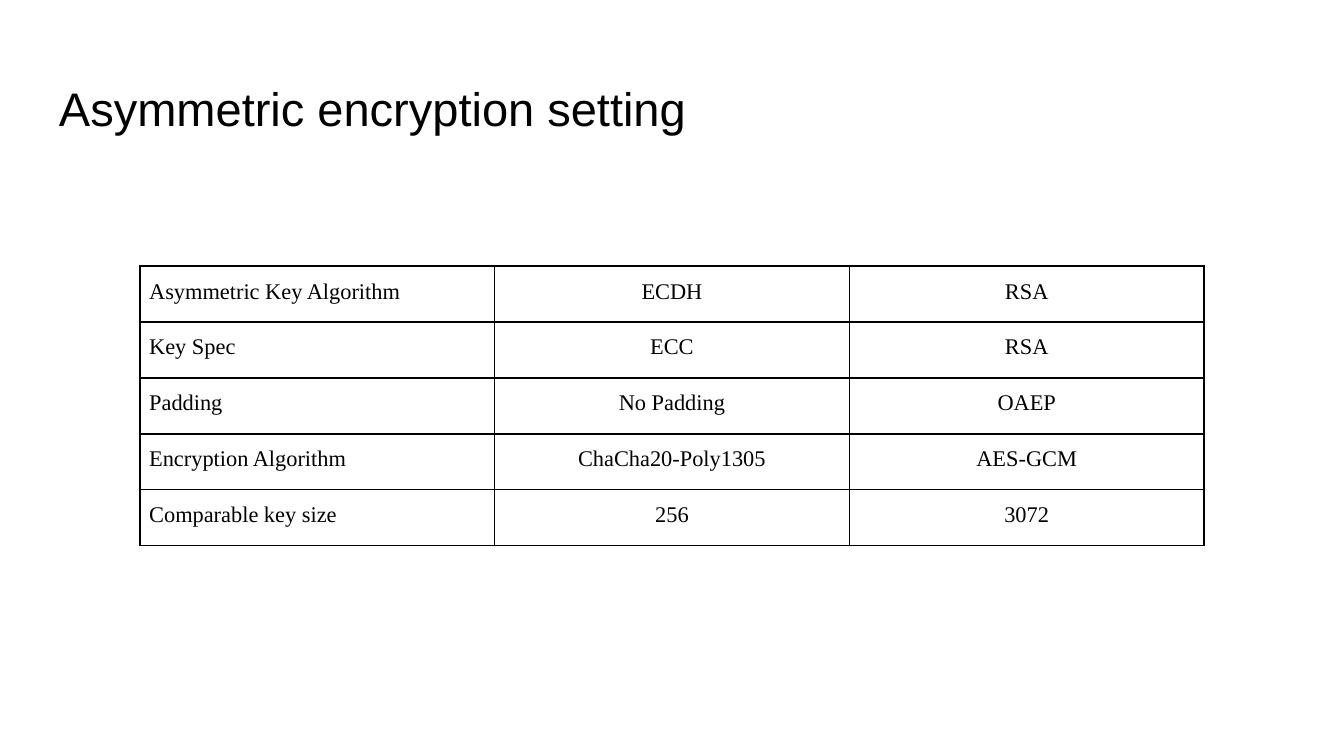
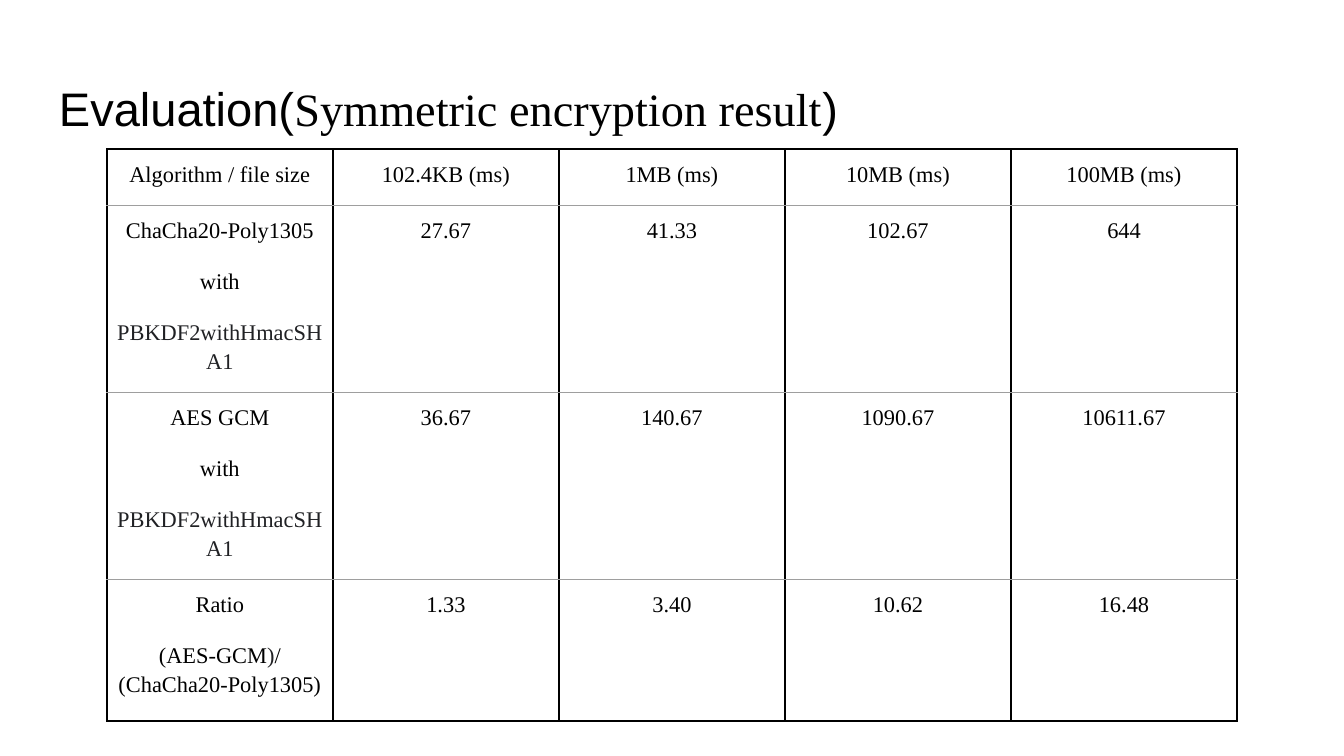
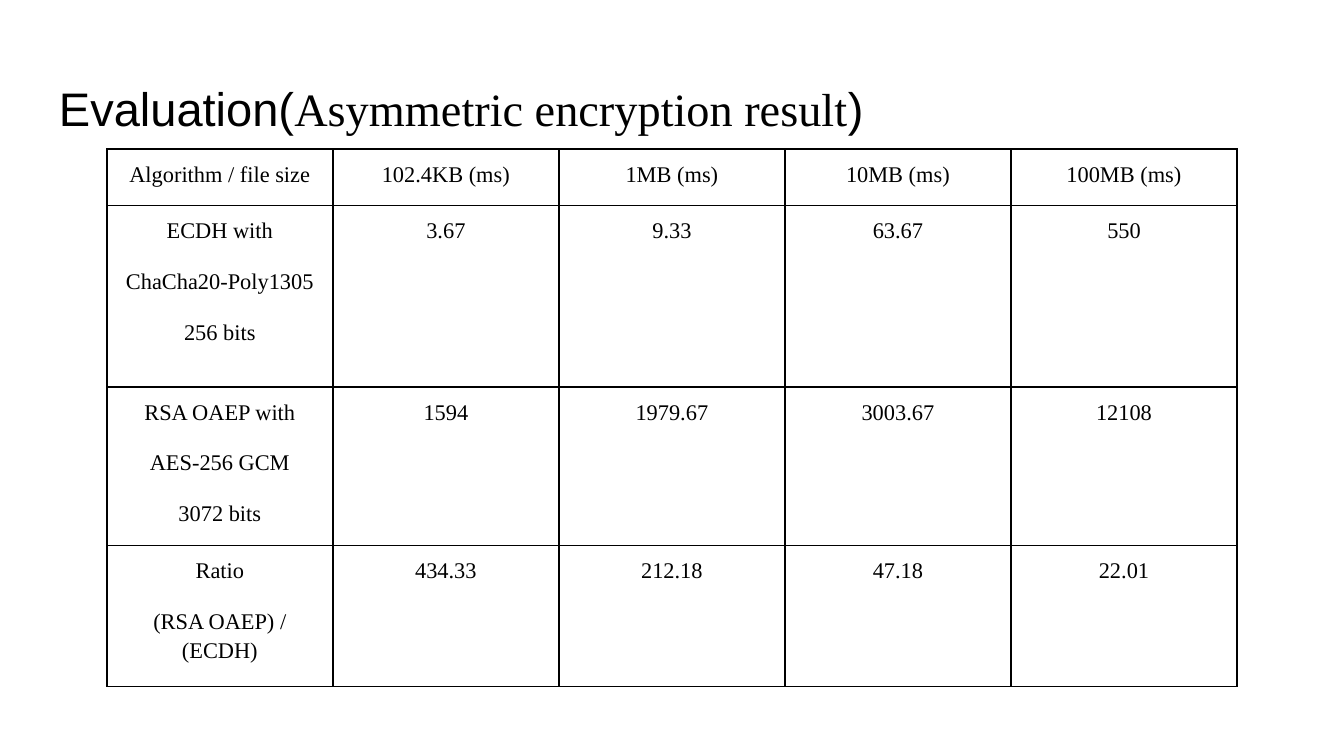
import pptx
import pptx.dml.color
import pptx.enum.text
import pptx.oxml
import pptx.oxml.ns
import pptx.util

Inches = pptx.util.Inches
Pt = pptx.util.Pt
RGBColor = pptx.dml.color.RGBColor
ALIGN = pptx.enum.text.PP_ALIGN
ANCHOR = pptx.enum.text.MSO_ANCHOR

BLACK = RGBColor(0x00, 0x00, 0x00)
CHARCOAL = RGBColor(0x20, 0x21, 0x24)
GRAY = RGBColor(0x9E, 0x9E, 0x9E)
SANS = {"name": "Arial", "size": Pt(25.2)}
SERIF = {"name": "Times New Roman", "size": Pt(24.8)}
CELL = {"name": "Times New Roman", "size": Pt(12)}

SLIDE_WIDTH = 10
SLIDE_HEIGHT = SLIDE_WIDTH * 9 / 16
TITLE_PLACE = (0.34, 0.49, 9.32, 0.63)
OUTER_RULE = (BLACK, 1)
FAINT_RULE = (GRAY, 0.75)
SETTING_LAYOUT = {"top": 1.98, "width": 7.92, "heights": [2.08 / 5] * 5,
                  "first_align": ALIGN.LEFT}
RESULT_LAYOUT = {"top": 1.11, "width": 8.41, "heights": [0.42, 1.35, 1.18, 1.05],
                 "first_align": ALIGN.CENTER}

FILE_SIZES = ["Algorithm / file size", "102.4KB (ms)", "1MB (ms)", "10MB (ms)", "100MB (ms)"]
KEY_DERIVATION = [("PBKDF2withHmacSHA1", CHARCOAL)]
SYMMETRIC_RATIO = [("(AES-GCM", BLACK), (")", CHARCOAL), ("/ (ChaCha20-Poly1305)", BLACK)]

SLIDES = [
    {
        "title": [("Asymmetric encryption setting", SANS)],
        "layout": SETTING_LAYOUT,
        "row_rule": OUTER_RULE,
        "rows": [
            ["Asymmetric Key Algorithm", "ECDH", "RSA"],
            ["Key Spec", "ECC", "RSA"],
            ["Padding", "No Padding", "OAEP"],
            ["Encryption Algorithm", "ChaCha20-Poly1305", "AES-GCM"],
            ["Comparable key size", "256", "3072"],
        ],
    },
    {
        "title": [("Evaluation(", SANS), ("Symmetric encryption result", SERIF), (")", SANS)],
        "layout": RESULT_LAYOUT,
        "row_rule": FAINT_RULE,
        "rows": [
            FILE_SIZES,
            [["ChaCha20-Poly1305", "with", KEY_DERIVATION], "27.67", "41.33", "102.67", "644"],
            [["AES GCM", "with", KEY_DERIVATION], "36.67", "140.67", "1090.67", "10611.67"],
            [["Ratio", SYMMETRIC_RATIO], "1.33", "3.40", "10.62", "16.48"],
        ],
    },
    {
        "title": [("Evaluation(", SANS), ("Asymmetric encryption result", SERIF), (")", SANS)],
        "layout": RESULT_LAYOUT,
        "row_rule": OUTER_RULE,
        "rows": [
            FILE_SIZES,
            [["ECDH with", "ChaCha20-Poly1305", "256 bits"], "3.67", "9.33", "63.67", "550"],
            [["RSA OAEP with", "AES-256 GCM", "3072 bits"],
             "1594", "1979.67", "3003.67", "12108"],
            [["Ratio", "(RSA OAEP) / (ECDH)"], "434.33", "212.18", "47.18", "22.01"],
        ],
    },
]


def apply(target, values):
    for name, value in values.items():
        setattr(target, name, value)


def margins(inset):
    return {f"margin_{side}": Inches(inset) for side in ("left", "top", "right", "bottom")}


def add_run(paragraph, text, font, color):
    run = paragraph.add_run()
    run.text = text
    apply(run.font, font)
    run.font.color.rgb = color


def add_title(slide, pieces):
    frame = slide.shapes.add_textbox(*map(Inches, TITLE_PLACE)).text_frame
    apply(frame, {"word_wrap": True, "vertical_anchor": ANCHOR.MIDDLE, **margins(0.1)})
    for text, font in pieces:
        add_run(frame.paragraphs[0], text, font, BLACK)


def fill_cell(cell, content, align):
    apply(cell, {"vertical_anchor": ANCHOR.TOP, **margins(0.07)})
    frame = cell.text_frame
    lines = content if isinstance(content, list) else [content]
    for index, line in enumerate(lines):
        paragraph = frame.add_paragraph() if index else frame.paragraphs[0]
        apply(paragraph, {"alignment": align, "line_spacing": 1.15,
                          "space_before": Pt(12 if index else 0)})
        for text, color in line if isinstance(line, list) else [(line, BLACK)]:
            add_run(paragraph, text, CELL, color)
        paragraph._p.append(pptx.oxml.parse_xml(
            f'<a:endParaRPr {pptx.oxml.ns.nsdecls("a")} sz="1200"/>'))


def draw_borders(cell, rules):
    properties = cell._tc.get_or_add_tcPr()
    for side, (color, width) in rules.items():
        properties.append(pptx.oxml.parse_xml(
            f'<a:{side} {pptx.oxml.ns.nsdecls("a")} w="{Pt(width)}">'
            f'<a:solidFill><a:srgbClr val="{color}"/></a:solidFill></a:{side}>'))


def add_grid(slide, rows, layout, row_rule):
    heights, width = layout["heights"], layout["width"]
    place = ((SLIDE_WIDTH - width) / 2, layout["top"], width, sum(heights))
    grid = slide.shapes.add_table(len(rows), len(rows[0]), *map(Inches, place)).table
    apply(grid, {"first_row": False, "horz_banding": False})
    last = len(rows) - 1
    for r, row in enumerate(rows):
        grid.rows[r].height = Inches(heights[r])
        rules = {"lnL": OUTER_RULE, "lnR": OUTER_RULE,
                 "lnT": OUTER_RULE if r == 0 else row_rule,
                 "lnB": OUTER_RULE if r == last else row_rule}
        for c, content in enumerate(row):
            cell = grid.cell(r, c)
            fill_cell(cell, content, ALIGN.CENTER if c else layout["first_align"])
            draw_borders(cell, rules)
            cell.fill.background()


def main():
    deck = pptx.Presentation()
    apply(deck, {"slide_width": Inches(SLIDE_WIDTH), "slide_height": Inches(SLIDE_HEIGHT)})
    for content in SLIDES:
        slide = deck.slides.add_slide(deck.slide_layouts[6])
        add_title(slide, content["title"])
        add_grid(slide, content["rows"], content["layout"], content["row_rule"])
    deck.save("out.pptx")


if __name__ == "__main__":
    main()
